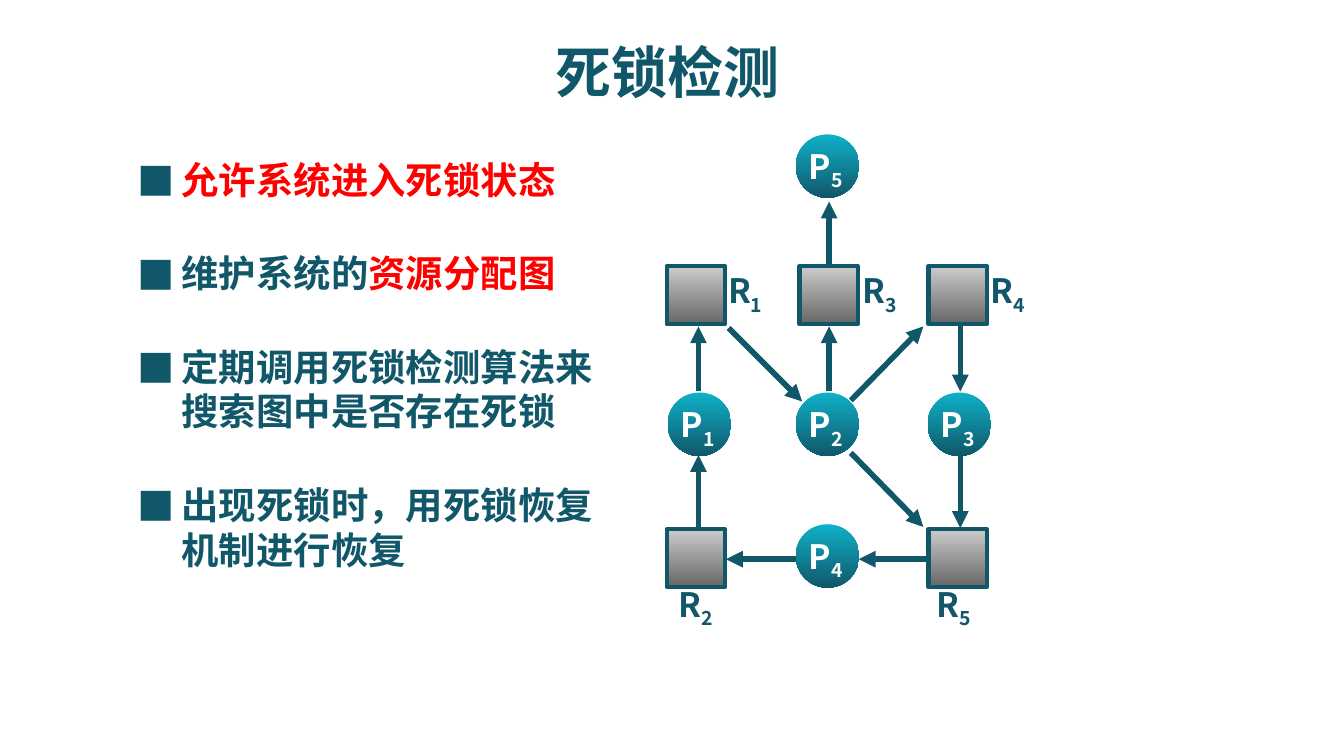
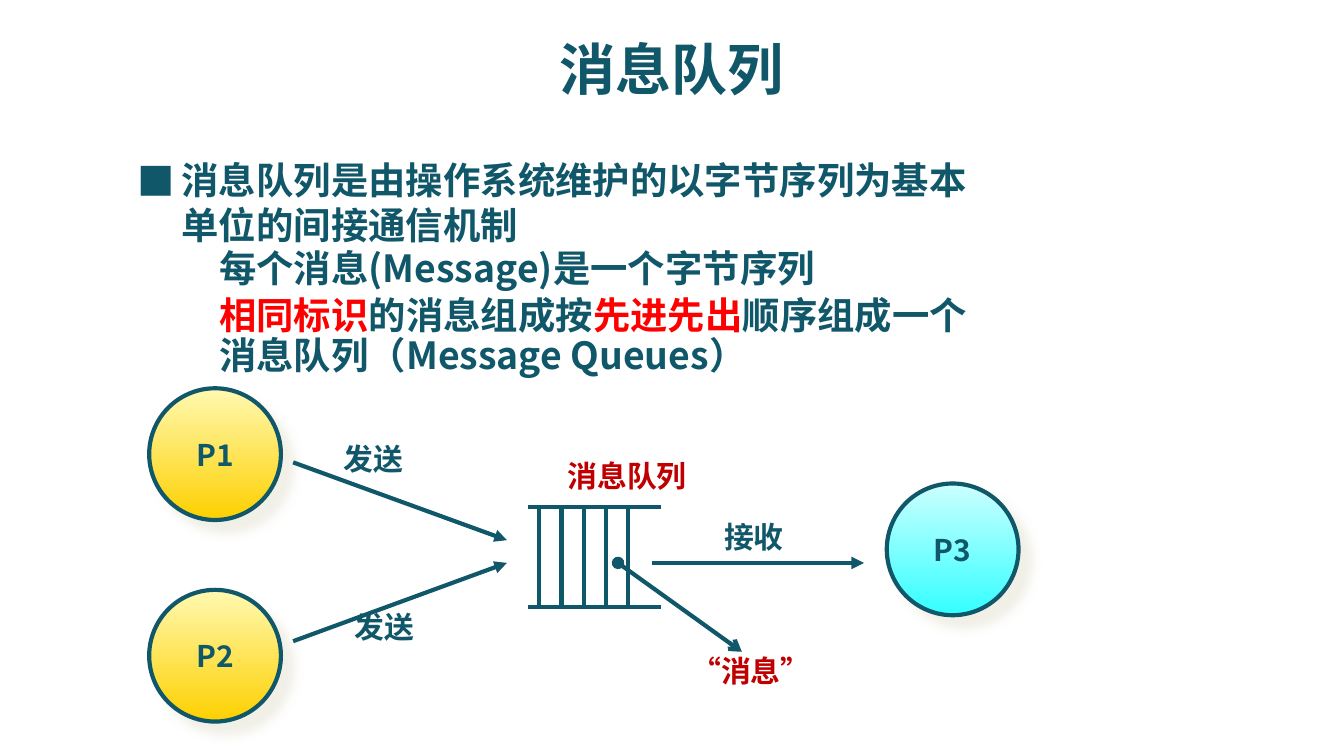
import dataclasses

import lxml.etree
import pptx
import pptx.dml.color
import pptx.enum.shapes
import pptx.enum.text
import pptx.oxml.ns
import pptx.util

Cm = pptx.util.Cm
Pt = pptx.util.Pt
qn = pptx.oxml.ns.qn


@dataclasses.dataclass(frozen=True)
class Theme:
    font: str = "Noto Sans CJK SC"
    bullet_font: str = "Noto Sans CJK JP"
    ink: str = "11576A"
    emphasis: str = "FF0000"
    caption: str = "C00000"
    white: str = "FFFFFF"
    shadow: str = "EEECE1"
    process: tuple = ("0EB1C8", "11576A")
    resource: tuple = ("CCCCCC", "666666")
    sender: tuple = ("FFF9B1", "FDD000")
    receiver: tuple = ("CCFFFF", "33FFFF")
    title_size: int = 30
    body_size: int = 20
    node_size: int = 18
    label_size: int = 16
    body_leading: float = 24
    detail_leading: float = 21.5
    label_leading: float = 0.85
    outline: float = 2.25
    graph_arrow: float = 3


THEME = Theme()
ALIGN = pptx.enum.text.PP_ALIGN
SHAPES = pptx.enum.shapes.MSO_SHAPE


def rgb(value):
    return pptx.dml.color.RGBColor.from_string(value)


def add_element(parent, tag, **attributes):
    return lxml.etree.SubElement(parent, qn(tag), attributes)


def format_paragraph(paragraph, size, color=THEME.ink, align=ALIGN.LEFT):
    paragraph.alignment = align
    font = paragraph.font
    font.name, font.size, font.bold = THEME.font, Pt(size), True
    font.color.rgb = rgb(color)
    defaults = paragraph._p.get_or_add_pPr().find(qn("a:defRPr"))
    add_element(defaults, "a:ea", typeface=THEME.font)


def set_bullet(paragraph, margin, hanging, character=None):
    properties = paragraph._p.get_or_add_pPr()
    properties.set("marL", str(Cm(margin)))
    properties.set("indent", str(-Cm(hanging)))
    holder = lxml.etree.Element("holder")
    if character:
        color = add_element(holder, "a:buClr")
        add_element(color, "a:srgbClr", val=THEME.ink)
        add_element(holder, "a:buFont", typeface=THEME.bullet_font)
        add_element(holder, "a:buChar", char=character)
    else:
        add_element(holder, "a:buNone")
    defaults = properties.find(qn("a:defRPr"))
    for element in list(holder):
        defaults.addprevious(element)


def place(shape, left, top, width, height):
    shape.left, shape.top = Cm(left), Cm(top)
    shape.width, shape.height = Cm(width), Cm(height)


def add_titled_slide(presentation, title, left, top):
    slide = presentation.slides.add_slide(presentation.slide_layouts[1])
    shape = slide.shapes.title
    place(shape, left, top, 22.86, 1.42)
    frame = shape.text_frame
    frame.auto_size = pptx.enum.text.MSO_AUTO_SIZE.NONE
    frame.vertical_anchor = pptx.enum.text.MSO_ANCHOR.MIDDLE
    frame.text = title
    format_paragraph(frame.paragraphs[0], THEME.title_size, align=ALIGN.CENTER)
    return slide


def start_body(slide, width, height):
    shape = slide.placeholders[1]
    place(shape, 2.59, 2.97, width, height)
    frame = shape.text_frame
    frame.auto_size = pptx.enum.text.MSO_AUTO_SIZE.NONE
    frame.vertical_anchor = pptx.enum.text.MSO_ANCHOR.TOP
    frame.margin_left = frame.margin_right = 0
    frame.margin_top = frame.margin_bottom = 0
    return frame


def add_item(frame, runs, space_before=0, level=0):
    first = frame.paragraphs[0]
    paragraph = frame.add_paragraph() if first.runs else first
    format_paragraph(paragraph, THEME.body_size)
    paragraph.level = level
    paragraph.space_before = Pt(space_before)
    if level:
        paragraph.line_spacing = Pt(THEME.detail_leading)
        set_bullet(paragraph, 1.55, 0)
    else:
        paragraph.line_spacing = Pt(THEME.body_leading)
        set_bullet(paragraph, 0.84, 0.84, "■")
    for text, color in runs:
        run = paragraph.add_run()
        run.text = text
        run.font.color.rgb = rgb(color)


def add_label(slide, text, left, top, width, height, size,
              color=THEME.ink, align=ALIGN.LEFT, subscript=None):
    box = slide.shapes.add_textbox(Cm(left), Cm(top), Cm(width), Cm(height))
    box.text_frame.word_wrap = False
    paragraph = box.text_frame.paragraphs[0]
    paragraph.line_spacing = THEME.label_leading
    format_paragraph(paragraph, size, color, align)
    paragraph.add_run().text = text
    if subscript:
        run = paragraph.add_run()
        run.text = subscript
        run._r.get_or_add_rPr().set("baseline", "-25000")


def add_node(slide, kind, left, top, size, colors, outlined=True):
    shape = slide.shapes.add_shape(kind, Cm(left), Cm(top), Cm(size), Cm(size))
    shape.shadow.inherit = False
    shape.fill.gradient()
    shape.fill.gradient_angle = 270
    for stop, color in zip(shape.fill.gradient_stops, colors):
        stop.color.rgb = rgb(color)
    if outlined:
        shape.line.color.rgb = rgb(THEME.ink)
        shape.line.width = Pt(THEME.outline)
    else:
        shape.line.fill.background()
    return shape


def add_line(slide, start, end, width=THEME.outline, head=None, tail=None):
    line = slide.shapes.add_connector(
        pptx.enum.shapes.MSO_CONNECTOR.STRAIGHT,
        *(Cm(value) for value in (*start, *end)))
    line.line.color.rgb = rgb(THEME.ink)
    line.line.width = Pt(width)
    stroke = line.line._get_or_add_ln()
    for tag, kind in (("a:headEnd", head), ("a:tailEnd", tail)):
        if kind:
            add_element(stroke, tag, type=kind)
    add_element(line._element.spPr, "a:effectLst")


def add_process(slide, number, left, top):
    add_node(slide, SHAPES.OVAL, left, top, 1.2, THEME.process, outlined=False)
    add_label(slide, "P", left, top + 0.14, 1.2, 1.02, THEME.node_size,
              THEME.white, subscript=number)


def add_resource(slide, number, left, top, label_left, label_top):
    add_node(slide, SHAPES.RECTANGLE, left, top, 1.1, THEME.resource)
    add_label(slide, "R", label_left, label_top, 1.22, 1.02, THEME.node_size,
              subscript=number)


def add_actor(slide, name, left, top, colors):
    shape = add_node(slide, SHAPES.OVAL, left, top, 2.49, colors)
    shadow = add_element(shape._element.spPr.find(qn("a:effectLst")),
                         "a:outerShdw", blurRad=str(Pt(5)), dist=str(Pt(8.5)),
                         dir="2700000", algn="ctr", rotWithShape="0")
    color = add_element(shadow, "a:srgbClr", val=THEME.shadow)
    add_element(color, "a:alpha", val="75000")
    frame = shape.text_frame
    frame.word_wrap = False
    frame.vertical_anchor = pptx.enum.text.MSO_ANCHOR.MIDDLE
    frame.text = name
    format_paragraph(frame.paragraphs[0], THEME.label_size, align=ALIGN.CENTER)


def add_queue(slide, left, top, bottom, cells, pitch):
    for cell in range(cells):
        x = left + cell * pitch
        for y in (top, bottom):
            add_line(slide, (x, y), (x + 2 * pitch, y))
        add_line(slide, (x + pitch / 2, top), (x + pitch / 2, bottom))


def build_detection_slide(presentation):
    slide = add_titled_slide(presentation, "死锁检测", 1.19, 0.64)
    frame = start_body(slide, 8.86, 8.74)
    items = (
        [("允许系统进入死锁状态", THEME.emphasis)],
        [("维护系统的", THEME.ink), ("资源分配图", THEME.emphasis)],
        [("定期调用死锁检测算法来搜索图中是否存在死锁", THEME.ink)],
        [("出现死锁时，用死锁恢复机制进行恢复", THEME.ink)],
    )
    for index, runs in enumerate(items):
        add_item(frame, runs, space_before=26 if index else 0)

    for number, left, top in (("1", 12.62, 7.42), ("2", 15.04, 7.42),
                              ("3", 17.53, 7.42), ("4", 15.04, 9.91),
                              ("5", 15.04, 2.54)):
        add_process(slide, number, left, top)

    upper, lower = 5.03, 10
    for number, left, top, label_left, label_top in (
            ("1", 12.6, upper, 13.51, upper),
            ("3", 15.11, upper, 16.05, upper),
            ("4", 17.55, upper, 18.47, upper),
            ("2", 12.6, lower, 12.57, 10.95),
            ("5", 17.55, lower, 17.45, 10.95)):
        add_resource(slide, number, left, top, label_left, label_top)

    west, middle, east, row = 13.2, 15.67, 18.15, 10.57
    for start, end in (
            ((west, 9.98), (west, 8.6)),
            ((west, 7.4), (west, 6.17)),
            ((middle, 7.4), (middle, 6.17)),
            ((middle, 5), (middle, 3.81)),
            ((east, 6.17), (east, 7.4)),
            ((east, 8.6), (east, 9.98)),
            ((17.55, row), (16.23, row)),
            ((15.04, row), (13.72, row)),
            ((13.77, 6.2), (15.16, 7.59)),
            ((16.08, 8.56), (17.45, 9.96)),
            ((16.08, 7.57), (17.45, 6.17))):
        add_line(slide, start, end, THEME.graph_arrow, tail="triangle")


def build_queue_slide(presentation):
    slide = add_titled_slide(presentation, "消息队列", 1.27, 0.58)
    frame = start_body(slide, 16, 4.3)
    add_item(frame, [("消息队列是由操作系统维护的以字节序列为基本单位的间接通信机制",
                      THEME.ink)])
    add_item(frame, [("每个消息(Message)是一个字节序列", THEME.ink)], 1.5, level=1)
    add_item(frame, [("相同标识", THEME.emphasis),
                     ("的消息组成按", THEME.ink),
                     ("先进先出", THEME.emphasis),
                     ("顺序组成一个消息队列（Message Queues）", THEME.ink)],
             4, level=1)

    add_actor(slide, "P1", 2.82, 7.34, THEME.sender)
    add_actor(slide, "P2", 2.82, 11.15, THEME.sender)
    add_actor(slide, "P3", 16.76, 9.14, THEME.receiver)
    add_queue(slide, 9.98, 9.58, 11.48, cells=5, pitch=0.42)

    axis = 10.64
    for start, end in (((5.54, 8.74), (9.58, 10.21)),
                       ((5.54, 12.12), (9.58, axis)),
                       ((12.32, axis), (16.33, axis))):
        add_line(slide, start, end, tail="triangle")
    add_line(slide, (11.68, axis), (14.02, 12.32), head="oval", tail="arrow")

    for text, left, top, width, color in (
            ("发送", 6.22, 8.31, 1.65, THEME.ink),
            ("发送", 6.43, 11.48, 1.65, THEME.ink),
            ("接收", 13.41, 9.78, 1.65, THEME.ink),
            ("消息队列", 10.44, 8.64, 2.79, THEME.caption),
            ("“消息”", 12.78, 12.32, 2.79, THEME.caption)):
        add_label(slide, text, left, top, width, 0.94, THEME.label_size,
                  color, ALIGN.RIGHT)


def main():
    presentation = pptx.Presentation()
    presentation.slide_width = Cm(25.4)
    presentation.slide_height = Cm(14.29)
    build_detection_slide(presentation)
    build_queue_slide(presentation)
    presentation.save("out.pptx")


if __name__ == "__main__":
    main()
